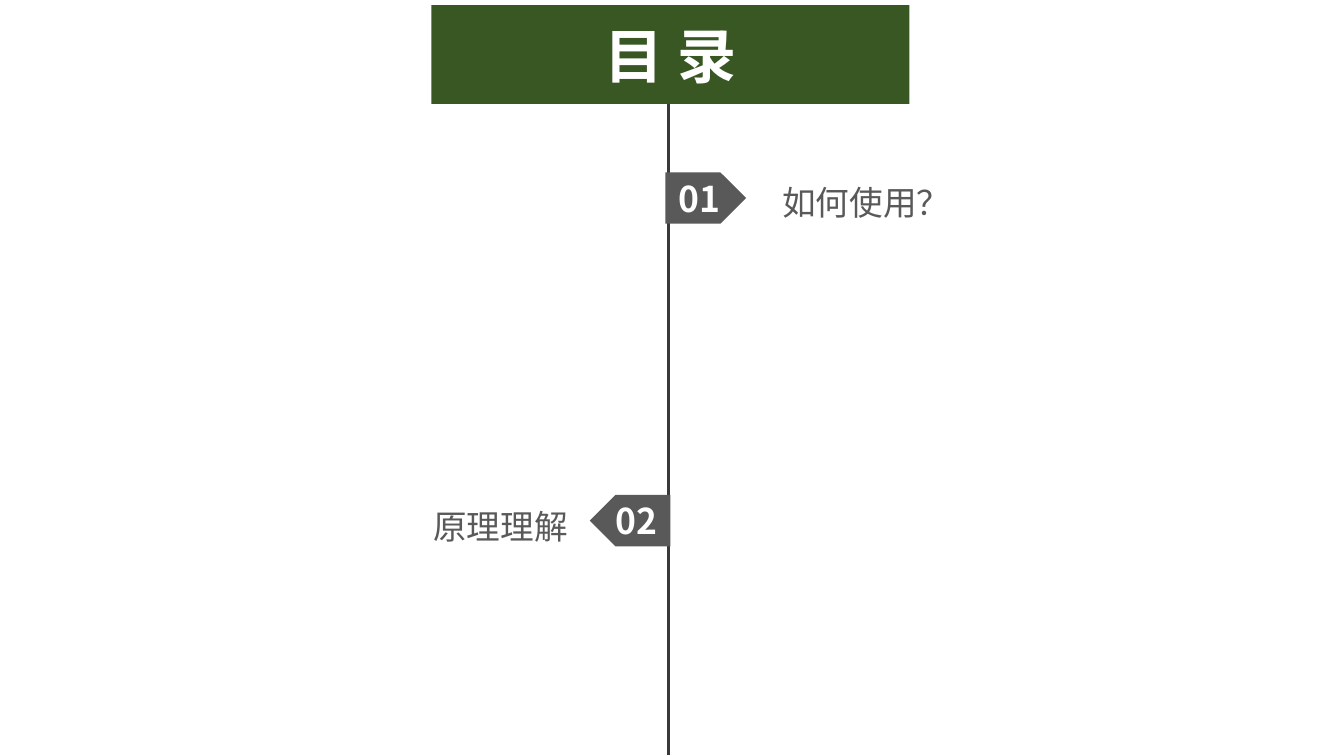
from lxml import etree
from pptx import Presentation
from pptx import util as u
from pptx.dml.color import RGBColor
from pptx.enum import shapes, text
from pptx.oxml import ns

FONT = "Noto Sans CJK SC"
WHITE, GREEN, GREY, DARK = "FFFFFF", "385723", "595959", "3B3838"


def color(value):
    """Return the colour for a hex string."""
    return RGBColor.from_string(value)


def write(shape, words, size, fill=WHITE, bold=False, align=text.PP_ALIGN.CENTER):
    """Write one formatted paragraph into a shape without margins."""
    frame = shape.text_frame
    frame.word_wrap = True
    frame.vertical_anchor = text.MSO_ANCHOR.MIDDLE
    frame.margin_left = frame.margin_right = frame.margin_top = frame.margin_bottom = 0
    paragraph = frame.paragraphs[0]
    paragraph.alignment = align
    run = paragraph.add_run()
    run.text = words
    run.font.name = FONT
    run.font.size = u.Pt(size)
    run.font.bold = bold
    run.font.color.rgb = color(fill)
    etree.SubElement(run.font._element, ns.qn("a:ea"), typeface=FONT)


def add_tag(slide, box, words, size, fill, point=0.5, flipped=False):
    """Add a filled tag with a pointed end and a bold caption."""
    shape = slide.shapes.add_shape(shapes.MSO_SHAPE.PENTAGON, *map(u.Inches, box))
    shape.shadow.inherit = False
    shape.adjustments[0] = point
    shape.fill.solid()
    shape.fill.fore_color.rgb = color(fill)
    shape.line.fill.background()
    if flipped:
        shape.element.spPr.xfrm.set("flipH", "1")
    write(shape, words, size, bold=True)


def add_spine(slide, x, top, bottom):
    """Add the vertical line that joins the entries."""
    line = slide.shapes.add_connector(
        shapes.MSO_CONNECTOR.STRAIGHT, *map(u.Inches, (x, top, x, bottom)))
    line.line.color.rgb = color(DARK)
    line.line.width = u.Pt(2)
    etree.SubElement(line.element.spPr, ns.qn("a:effectLst"))


def add_entry(slide, tag_box, label_box, number, title, leftward=False):
    """Add a numbered tag and its title on one side of the spine."""
    add_tag(slide, tag_box, number, 25.3, GREY, flipped=leftward)
    label = slide.shapes.add_textbox(*map(u.Inches, label_box))
    align = text.PP_ALIGN.RIGHT if leftward else text.PP_ALIGN.LEFT
    write(label, title, 24, fill=GREY, align=align)
    label.text_frame.auto_size = text.MSO_AUTO_SIZE.SHAPE_TO_FIT_TEXT


def build_contents(presentation):
    """Build the contents slide."""
    slide = presentation.slides.add_slide(presentation.slide_layouts[6])
    add_spine(slide, 6.63, 0.35, 7.49)
    add_tag(slide, (4.28, 0.05, 4.74, 0.98), "目 录", 42.2, GREEN, point=0, flipped=True)
    add_entry(slide, (6.6, 1.71, 0.8, 0.51), (7.76, 1.8, 1.69, 0.4), "01", "如何使用？")
    add_entry(slide, (5.85, 4.91, 0.8, 0.51), (2.93, 5.02, 2.7, 0.4), "02", "原理理解",
              leftward=True)


presentation = Presentation()
presentation.slide_width = u.Inches(13.33)
presentation.slide_height = u.Inches(7.5)
build_contents(presentation)
presentation.save("out.pptx")
